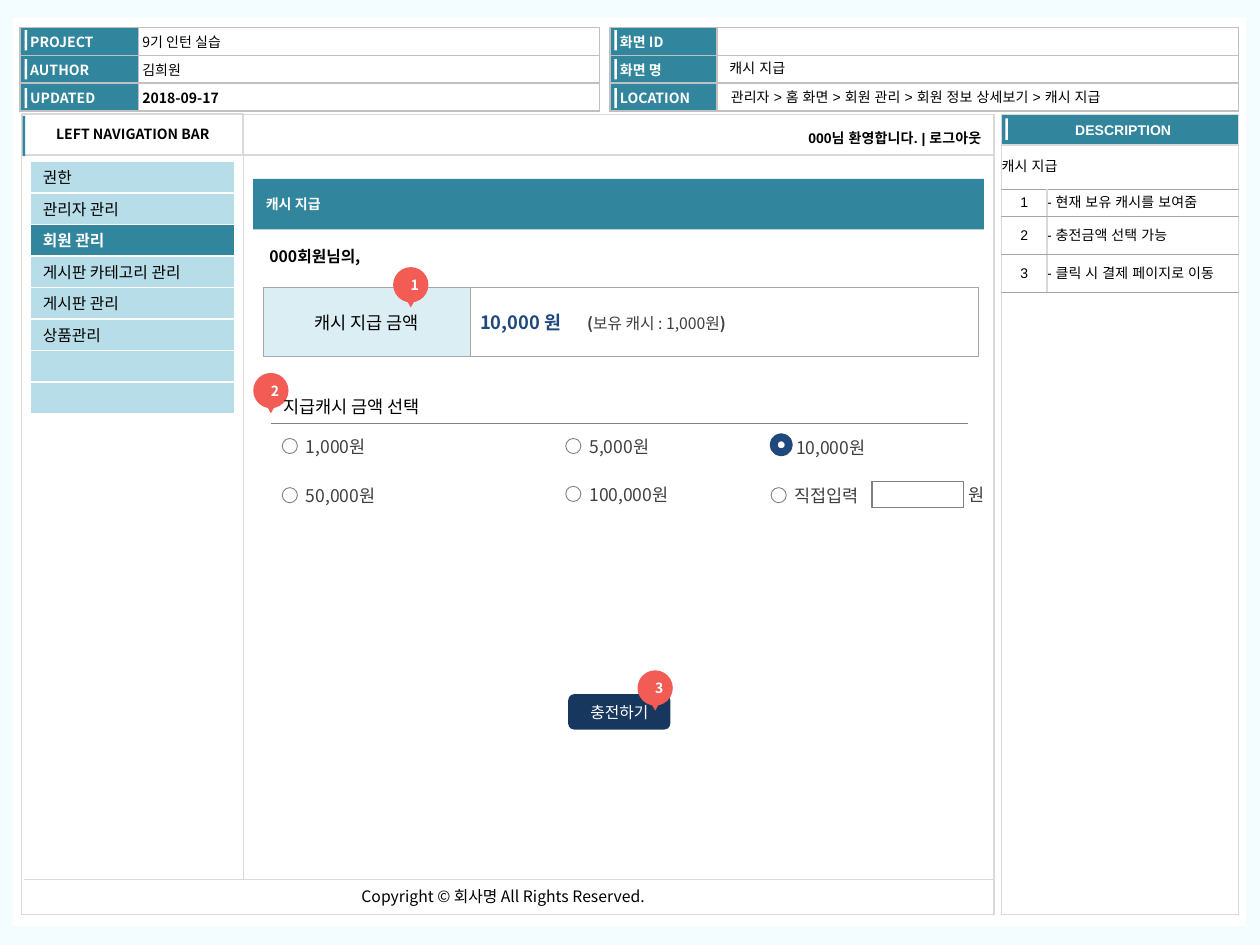
from lxml import etree
from pptx import Presentation
from pptx.dml.color import RGBColor
from pptx.enum.shapes import MSO_CONNECTOR, MSO_SHAPE
from pptx.enum.text import MSO_ANCHOR, MSO_AUTO_SIZE, PP_ALIGN
from pptx.oxml.ns import qn
from pptx.util import Inches, Pt

RECT, OVAL = MSO_SHAPE.RECTANGLE, MSO_SHAPE.OVAL
TRIANGLE, ROUNDED = MSO_SHAPE.ISOSCELES_TRIANGLE, MSO_SHAPE.ROUNDED_RECTANGLE
LEFT, CENTER, RIGHT = PP_ALIGN.LEFT, PP_ALIGN.CENTER, PP_ALIGN.RIGHT
TOP, MIDDLE = MSO_ANCHOR.TOP, MSO_ANCHOR.MIDDLE
NOTO, ARIAL = "Noto Sans CJK KR", "Arial"
C = {"page": "F3FCFF", "white": "FFFFFF", "black": "000000", "teal": "31859C",
     "sky": "B7DEE8", "pale": "DBEEF4", "silver": "C0C0C0", "frame": "D9D9D9",
     "rule": "A6A6A6", "gray": "808080", "text": "404040", "blue": "1F497D",
     "navy": "17375E", "marker": "F25C54"}


def rgb(name):
    return RGBColor.from_string(C[name])


def box(*lengths):
    return [Inches(v) for v in lengths]


def set_font(font, size, color="black", bold=False, name=NOTO):
    font.size, font.bold, font.name = Pt(size), bold, name
    font.color.rgb = rgb(color)
    etree.SubElement(font._element, qn("a:ea")).set("typeface", name)


def write(tf, text, size, color="black", bold=False, name=NOTO, align=LEFT, anchor=TOP):
    tf.vertical_anchor = anchor
    p = tf.paragraphs[0]
    p.text, p.alignment = text, align
    set_font(p.font, size, color, bold, name)
    return p


def add_shape(shapes, kind, at, fill=None, line=None, width=0.75):
    sp = shapes.add_shape(kind, *box(*at))
    sp.shadow.inherit = False
    if fill:
        sp.fill.solid()
        sp.fill.fore_color.rgb = rgb(fill)
    else:
        sp.fill.background()
    if line:
        sp.line.color.rgb, sp.line.width = rgb(line), Pt(width)
    else:
        sp.line.fill.background()
    return sp


def add_text(shapes, at, text, size, wrap=True, margins=(0.1, 0.05), **style):
    tf = shapes.add_textbox(*box(*at)).text_frame
    tf.word_wrap = wrap
    tf.auto_size = MSO_AUTO_SIZE.NONE if wrap else MSO_AUTO_SIZE.SHAPE_TO_FIT_TEXT
    tf.margin_left = tf.margin_right = Inches(margins[0])
    tf.margin_top = tf.margin_bottom = Inches(margins[1])
    write(tf, text, size, **style)


def add_line(shapes, start, end, color="frame", width=1):
    line = shapes.add_connector(MSO_CONNECTOR.STRAIGHT, *box(*start, *end))
    line.line.color.rgb, line.line.width = rgb(color), Pt(width)
    etree.SubElement(line._element.spPr, qn("a:effectLst"))


def add_table(shapes, left, top, cols, rows):
    table = shapes.add_table(len(rows), len(cols),
                             *box(left, top, sum(cols), sum(rows))).table
    table.first_row = table.horz_banding = False
    for column, width in zip(table.columns, cols):
        column.width = Inches(width)
    for row, height in zip(table.rows, rows):
        row.height = Inches(height)
    return table


def set_cell(cell, text, size, fill, borders, left=0.0, spaced=True, **style):
    """Fill one cell; borders gives (color, points) for left, right, top, bottom."""
    cell.margin_left = Inches(left)
    cell.margin_right = cell.margin_top = cell.margin_bottom = 0
    cell.vertical_anchor = MIDDLE
    p = write(cell.text_frame, text, size, anchor=None, **style)
    if spaced:
        p.space_before = Pt(size * 0.2)
    if not text:
        etree.SubElement(p._p, qn("a:endParaRPr")).set("sz", str(size * 100))
    cell.fill.solid()
    cell.fill.fore_color.rgb = rgb(fill)
    for i, (side, (color, width)) in enumerate(zip("LRTB", borders)):
        ln = etree.Element(qn(f"a:ln{side}"), w=str(Pt(width)))
        solid = etree.SubElement(ln, qn("a:solidFill"))
        etree.SubElement(solid, qn("a:srgbClr")).set("val", C[color])
        cell._tc.tcPr.insert(i, ln)
    return p


def add_info_table(shapes, left, cols, rows):
    """Header table of label and value, with a white tick before each label."""
    table = add_table(shapes, left, 0.22, cols, [0.22] * len(rows))
    borders = [("silver", 1)] * 4
    for i, (label, value, bold) in enumerate(rows):
        set_cell(table.cell(i, 0), label, 8, "teal", borders, 0.08, color="white", bold=True)
        set_cell(table.cell(i, 1), value, 8, "white", borders, 0.03, bold=bold)
        add_shape(shapes, RECT, (left + 0.035, 0.24 + 0.23 * i, 0.02, 0.16), "white")


def add_description(shapes, heading, notes):
    frame = add_table(shapes, 7.95, 0.91, [1.88], [0.25, 6.1])
    for i, (text, fill) in enumerate([("DESCRIPTION", "teal"), ("", "white")]):
        set_cell(frame.cell(i, 0), text, 8, fill, [("frame", 1)] * 4, 0.05,
                 color="white", bold=True, name=ARIAL, align=CENTER)
    add_shape(shapes, RECT, (7.98, 0.94, 0.02, 0.17), "white")

    table = add_table(shapes, 7.95, 1.15, [0.36, 1.52], [0.35, 0.22, 0.3, 0.3])
    borders = [("frame", 1)] * 2 + [("rule", 0.5)] * 2
    top_borders = [("frame", 1)] * 3 + [("rule", 0.5)]
    table.cell(0, 0).merge(table.cell(0, 1))
    set_cell(table.cell(0, 0), heading, 8, "white", top_borders, name=ARIAL)
    set_cell(table.cell(0, 1), "", 8, "white", top_borders, name=ARIAL)
    for i, note in enumerate(notes, 1):
        set_cell(table.cell(i, 0), str(i), 8, "white", borders, name=ARIAL, align=CENTER)
        set_cell(table.cell(i, 1), f"- {note}", 8, "white", borders, name=ARIAL)


def add_navigation(shapes, items, current):
    table = add_table(shapes, 0.24, 1.28, [1.62], [0.25] * len(items))
    for i, item in enumerate(items):
        active = item == current
        set_cell(table.cell(i, 0), item, 9, "teal" if active else "sky",
                 [("white", 1)] * 4, 0.1, spaced=False,
                 color="white" if active else "black", bold=active)


def add_cash_table(shapes):
    table = add_table(shapes, 2.09, 2.28, [1.64, 4.03], [0.55])
    borders = [("rule", 0.25)] * 4
    set_cell(table.cell(0, 0), "캐시 지급 금액", 10, "pale", borders, align=CENTER)
    p = set_cell(table.cell(0, 1), "", 10, "white", borders, 0.08)
    for text, size, color, bold in [("10,000 원\t", 10.5, "blue", True),
                                    ("(", 9, "text", True),
                                    ("보유 캐시 : 1,000원", 9, "text", False),
                                    (")", 9, "text", True)]:
        r = p.add_run()
        r.text = text
        set_font(r.font, size, color, bold)
    tabs = etree.Element(qn("a:tabLst"))
    etree.SubElement(tabs, qn("a:tab"), pos=str(Inches(0.85)), algn="l")
    p._p.pPr.find(qn("a:defRPr")).addprevious(tabs)


def add_marker(shapes, number, left, top):
    group = shapes.add_group_shape().shapes
    disc = add_shape(group, OVAL, (left, top, 0.28, 0.28), "marker")
    write(disc.text_frame, str(number), 8, "white", True, align=CENTER, anchor=MIDDLE)
    add_shape(group, TRIANGLE, (left + 0.095, top + 0.24, 0.09, 0.08), "marker").rotation = 180


def add_radio(shapes, label, left, top, width):
    group = shapes.add_group_shape().shapes
    add_shape(group, OVAL, (left, top, 0.12, 0.12), line="gray", width=0.5)
    add_text(group, (left + 0.09, top - 0.07, width, 0.27), label, 10, color="text")


def add_title(s, text):
    title = s.shapes.title
    s.shapes._spTree.append(title._element)
    title.left, title.top, title.width, title.height = box(2.01, 1.42, 5.8, 0.4)
    title.fill.solid()
    title.fill.fore_color.rgb = rgb("teal")
    write(title.text_frame, text, 8, "white", True, anchor=MIDDLE)


def main():
    prs = Presentation()
    prs.slide_width, prs.slide_height = box(10, 7.5)
    s = prs.slides.add_slide(prs.slide_layouts[5])
    s.background.fill.solid()
    s.background.fill.fore_color.rgb = rgb("page")
    shapes = s.shapes

    add_shape(shapes, RECT, (0.1, 0.14, 9.79, 7.21), "white")
    add_info_table(shapes, 0.16, [0.94, 3.66], [("PROJECT", "9기 인턴 실습", False),
                                                ("AUTHOR", "김희원", False),
                                                ("UPDATED", "2018-09-17", True)])
    add_info_table(shapes, 4.84, [0.85, 4.14],
                   [(label, "", False) for label in ("화면 ID", "화면 명", "LOCATION")])
    add_text(shapes, (5.72, 0.66, 3.45, 0.2),
             "관리자 > 홈 화면 > 회원 관리 > 회원 정보 상세보기 > 캐시 지급",
             8, margins=(0.08, 0.04), name=ARIAL)
    add_text(shapes, (5.71, 0.43, 2.9, 0.2), "캐시 지급", 8, margins=(0.08, 0.04), name=ARIAL)

    add_shape(shapes, RECT, (0.17, 0.91, 7.72, 6.35), line="frame")
    add_description(shapes, "캐시 지급", ["현재 보유 캐시를 보여줌", "충전금액 선택 가능",
                                      "클릭 시 결제 페이지로 이동"])
    add_line(shapes, (0.19, 6.98), (7.89, 6.98))
    add_text(shapes, (2.77, 6.99, 2.52, 0.25), "Copyright © 회사명 All Rights Reserved.",
             9, wrap=False)
    nav_head = add_shape(shapes, RECT, (0.18, 0.9, 1.75, 0.33), line="frame")
    write(nav_head.text_frame, "LEFT NAVIGATION BAR", 8, bold=True, align=CENTER, anchor=MIDDLE)
    add_shape(shapes, RECT, (0.18, 0.92, 0.02, 0.32), "teal")
    add_line(shapes, (1.93, 0.91), (1.93, 6.98), width=0.75)
    add_line(shapes, (1.93, 1.23), (7.89, 1.23))
    add_text(shapes, (5.29, 0.99, 2.58, 0.22), "000님 환영합니다. | 로그아웃", 8,
             margins=(0.08, 0.04), bold=True, name=ARIAL, align=RIGHT)
    add_title(s, "캐시 지급")
    add_navigation(shapes, ["권한", "관리자 관리", "회원 관리", "게시판 카테고리 관리",
                            "게시판 관리", "상품관리", "", ""], "회원 관리")

    add_text(shapes, (2.04, 1.91, 0.96, 0.25), "000회원님의,", 9, wrap=False, bold=True)
    add_cash_table(shapes)
    add_marker(shapes, 1, 3.12, 2.12)
    add_marker(shapes, 2, 2.01, 2.96)
    add_text(shapes, (2.15, 3.09, 1.42, 0.27), "지급캐시 금액 선택", 10, wrap=False)
    add_line(shapes, (2.15, 3.36), (7.68, 3.36), "gray", 0.75)
    for label, left, top, width in [("1,000원", 2.24, 3.48, 0.68), ("50,000원", 2.24, 3.87, 0.76),
                                    ("5,000원", 4.49, 3.48, 0.68), ("10,000원", 6.13, 3.49, 0.76),
                                    ("100,000원", 4.49, 3.86, 0.84), ("직접입력", 6.12, 3.87, 0.76)]:
        add_radio(shapes, label, left, top, width)
    add_shape(shapes, RECT, (6.92, 3.82, 0.73, 0.21), line="gray")
    add_text(shapes, (7.59, 3.79, 0.34, 0.27), "원", 10, color="text")
    add_shape(shapes, OVAL, (6.14, 3.47, 0.12, 0.12), line="blue", width=4.5)
    button = add_shape(shapes, ROUNDED, (4.51, 5.51, 0.81, 0.28), "navy")
    write(button.text_frame, "충전하기", 9, "white", align=CENTER, anchor=MIDDLE)
    add_marker(shapes, 3, 5.06, 5.32)
    prs.save("out.pptx")


if __name__ == "__main__":
    main()
